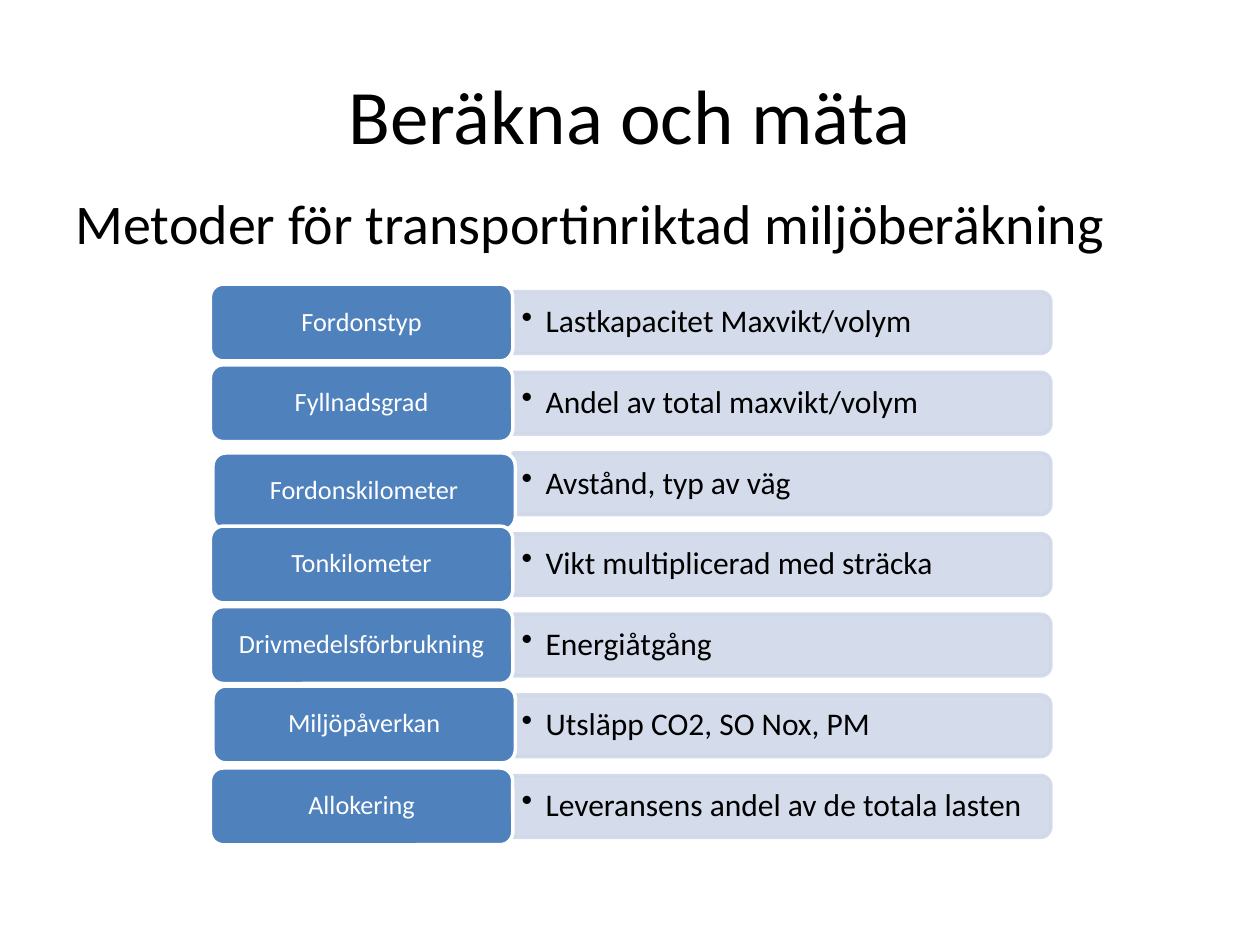
import lxml.etree
import pptx
import pptx.dml.color
import pptx.enum.shapes
import pptx.enum.text
import pptx.oxml.ns
import pptx.util

Inches = pptx.util.Inches
Shape = pptx.enum.shapes.MSO_SHAPE
Align = pptx.enum.text.PP_ALIGN
Anchor = pptx.enum.text.MSO_ANCHOR

FONT = "Calibri"
BLACK = "000000"
WHITE = "FFFFFF"
LABEL_BLUE = "4F81BD"
BAR_BLUE = "D0D8E8"

FIRST_CENTRE = 2.56
ROW_STEP = 0.64
LABEL_LEFT, LABEL_WIDTH, LABEL_HEIGHT = 1.67, 2.4, 0.61
BAR_LEFT, BAR_LENGTH, BAR_THICKNESS = 4.07, 4.27, 0.49
DETAIL_WIDTH, DETAIL_HEIGHT = 4.24, 0.44

ROWS = [
    ("Fordonstyp", "Lastkapacitet Maxvikt/volym", 0, 0),
    ("Fyllnadsgrad", "Andel av total maxvikt/volym", 0, 0),
    ("Fordonskilometer", "Avstånd, typ av väg", 0.02, 0.06),
    ("Tonkilometer", "Vikt multiplicerad med sträcka", 0, 0),
    ("Drivmedelsförbrukning", "Energiåtgång", 0, 0),
    ("Miljöpåverkan", "Utsläpp CO2, SO Nox, PM", 0.02, -0.01),
    ("Allokering", "Leveransens andel av de totala lasten", 0, 0),
]


def rgb(value):
    return pptx.dml.color.RGBColor.from_string(value)


def set_text(box, text, size, color, align=Align.LEFT, anchor=Anchor.MIDDLE,
             margins=(0.1, 0.05), line_spacing=1.0):
    frame = box.text_frame
    frame.text = text
    frame.word_wrap = True
    frame.vertical_anchor = anchor
    frame.margin_left = frame.margin_right = Inches(margins[0])
    frame.margin_top = frame.margin_bottom = Inches(margins[1])
    para = frame.paragraphs[0]
    para.alignment = align
    para.line_spacing = line_spacing
    font = para.runs[0].font
    font.name = FONT
    font.size = pptx.util.Pt(size)
    font.color.rgb = rgb(color)
    return para


def add_text(page, text, left, top, width, height, size, **options):
    box = page.shapes.add_textbox(
        Inches(left), Inches(top), Inches(width), Inches(height))
    return set_text(box, text, size, BLACK, **options)


def add_panel(page, kind, left, top, width, height, fill, line):
    panel = page.shapes.add_shape(
        kind, Inches(left), Inches(top), Inches(width), Inches(height))
    panel.shadow.inherit = False
    panel.fill.solid()
    panel.fill.fore_color.rgb = rgb(fill)
    panel.line.color.rgb = rgb(line)
    panel.line.width = pptx.util.Pt(2)
    return panel


def set_opacity(panel, percent):
    qn = pptx.oxml.ns.qn
    for color in panel.element.spPr.iter(qn("a:srgbClr")):
        alpha = lxml.etree.SubElement(color, qn("a:alpha"))
        alpha.set("val", str(percent * 1000))


def add_bullet(para, indent):
    qn = pptx.oxml.ns.qn
    properties = para._p.get_or_add_pPr()
    properties.set("marL", str(Inches(indent)))
    properties.set("indent", str(-Inches(indent)))
    bullet = lxml.etree.SubElement(properties, qn("a:buChar"))
    bullet.set("char", "•")


def add_bar(page, centre):
    left = BAR_LEFT + (BAR_LENGTH - BAR_THICKNESS) / 2
    bar = add_panel(page, Shape.ROUND_2_SAME_RECTANGLE, left,
                    centre - BAR_LENGTH / 2, BAR_THICKNESS, BAR_LENGTH,
                    BAR_BLUE, BAR_BLUE)
    bar.rotation = 90
    set_opacity(bar, 90)


def add_detail(page, text, centre):
    para = add_text(page, text, BAR_LEFT, centre - DETAIL_HEIGHT / 2,
                    DETAIL_WIDTH, DETAIL_HEIGHT, 18,
                    margins=(0.07, 0.04), line_spacing=0.9)
    add_bullet(para, 0.19)


def add_label(page, text, left, centre):
    label = add_panel(page, Shape.ROUNDED_RECTANGLE, left,
                      centre - LABEL_HEIGHT / 2, LABEL_WIDTH, LABEL_HEIGHT,
                      LABEL_BLUE, WHITE)
    set_text(label, text, 15, WHITE, align=Align.CENTER,
             margins=(0.06, 0.03), line_spacing=0.9)


def main():
    deck = pptx.Presentation()
    deck.slide_width = Inches(10)
    deck.slide_height = Inches(7.5)
    page = deck.slides.add_slide(deck.slide_layouts[6])

    for index, (label, detail, shift_x, shift_y) in enumerate(ROWS):
        centre = FIRST_CENTRE + index * ROW_STEP
        add_bar(page, centre)
        add_detail(page, detail, centre)
        add_label(page, label, LABEL_LEFT + shift_x, centre + shift_y)

    add_text(page, "Beräkna och mäta", 0.5, 0.28, 9, 1.25, 44,
             align=Align.CENTER)
    add_text(page, "Metoder för transportinriktad miljöberäkning",
             0.5, 1.45, 9, 0.64, 32, anchor=Anchor.TOP)
    deck.save("out.pptx")


if __name__ == "__main__":
    main()
